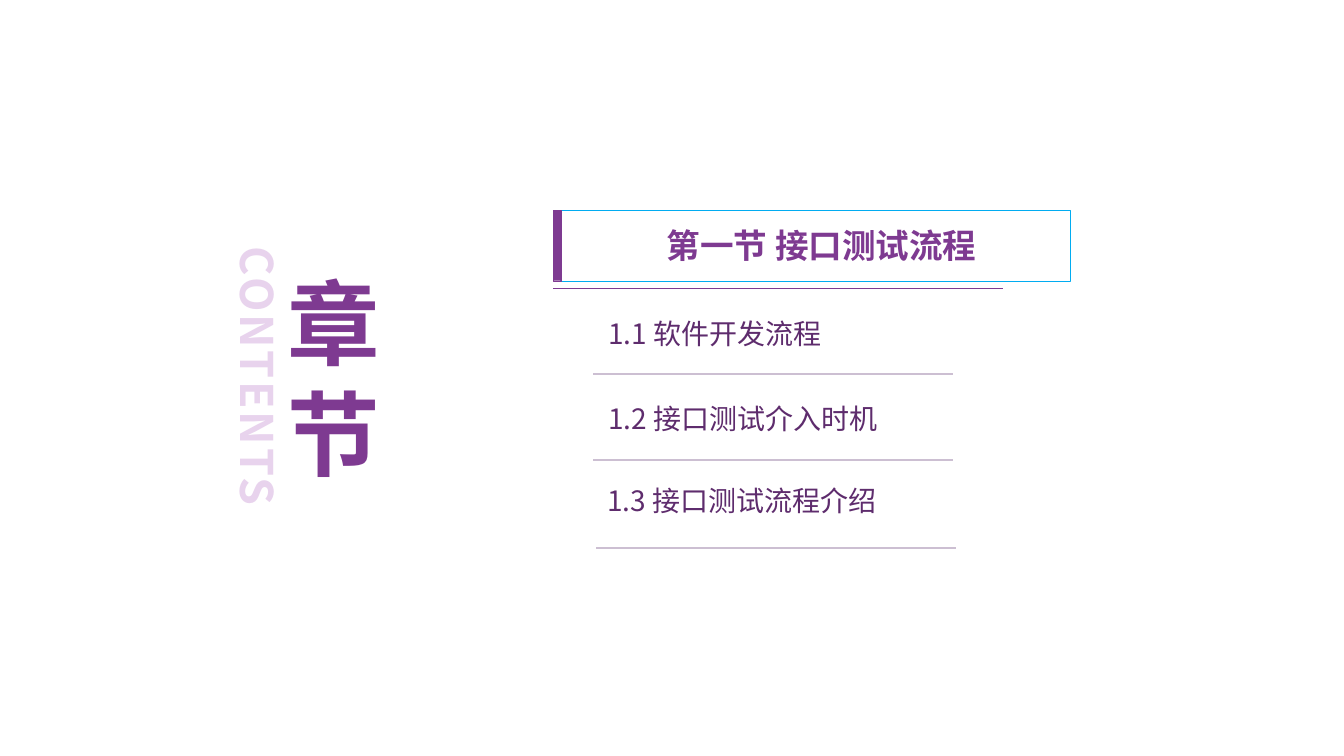
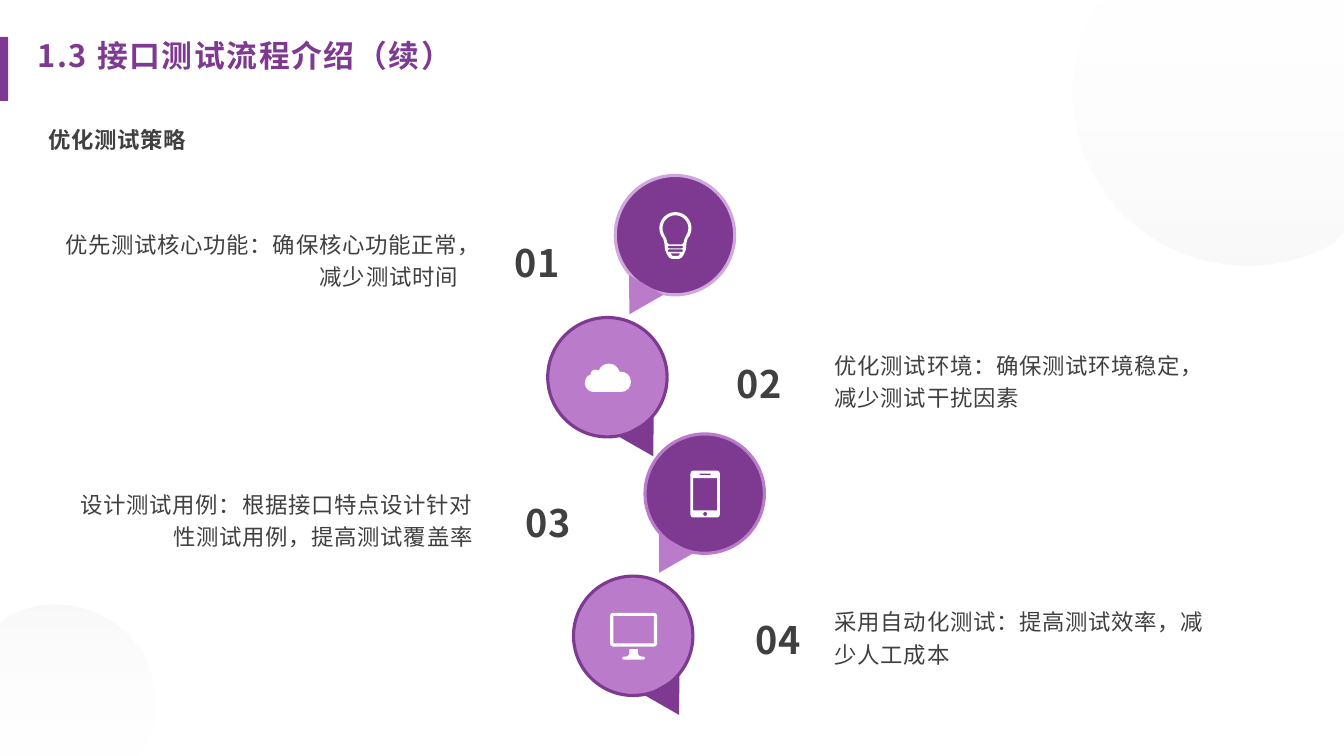
import math
from dataclasses import dataclass
from typing import NamedTuple, Optional

import lxml.etree
import pptx
import pptx.dml.color
import pptx.enum.shapes
import pptx.enum.text
import pptx.oxml.ns
import pptx.util

Pt = pptx.util.Pt
RGBColor = pptx.dml.color.RGBColor
Shape = pptx.enum.shapes.MSO_SHAPE
Anchor = pptx.enum.text.MSO_ANCHOR
Align = pptx.enum.text.PP_ALIGN
qn = pptx.oxml.ns.qn

# Shared look
FONT = "Noto Sans CJK SC"
PURPLE = RGBColor(0x7E, 0x3A, 0x91)
DEEP_PURPLE = RGBColor(0x5E, 0x2C, 0x6D)
LILAC = RGBColor(0xB9, 0x7B, 0xCA)
PALE_LILAC = RGBColor(0xD0, 0xA7, 0xDC)
FAINT_LILAC = RGBColor(0xE8, 0xD3, 0xED)
RULE_GRAY = RGBColor(0xCC, 0xBF, 0xD2)
TEXT_GRAY = RGBColor(0x40, 0x40, 0x40)
SHADE_GRAY = RGBColor(0xE6, 0xE6, 0xE6)
CYAN = RGBColor(0x01, 0xAC, 0xF1)
WHITE = RGBColor(0xFF, 0xFF, 0xFF)

PAGE_WIDTH, PAGE_HEIGHT = 1920.24, 1080
TITLE_ONLY = 5
DEFAULT_INSETS = (7.2, 3.6, 7.2, 3.6)
TOPIC_INSETS = (12.2, 12.2, 12.2, 12.2)
NO_INSETS = (0, 0, 0, 0)

Point = tuple[float, float]
Contour = list[Point]
Outline = list[Contour]


class Area(NamedTuple):
    left: float
    top: float
    width: float
    height: float


class Style(NamedTuple):
    size: float
    color: RGBColor
    bold: bool = False
    spacing: float = 0


HEADING = Style(44, PURPLE, True, 2.3)
SECTION = Style(48, PURPLE, True)
TOPIC = Style(40, DEEP_PURPLE)
NUMBER = Style(54, TEXT_GRAY, True, 0.9)
SUBHEADING = Style(32, TEXT_GRAY, True, 0.9)
DETAIL = Style(32, TEXT_GRAY, False, 0.9)


# Text
def add_span(para, text: str, style: Style) -> None:
    span = para.add_run()
    span.text = text
    span.font.size = Pt(style.size)
    span.font.bold = style.bold
    span.font.color.rgb = style.color
    span.font.name = FONT
    properties = span.font._element
    properties.set("spc", str(round(style.spacing * 100)))
    lxml.etree.SubElement(properties, qn("a:ea"), typeface=FONT)


def fill_frame(box, lines: list[str], style: Style, align, line_spacing: float,
               anchor, insets) -> None:
    frame = box.text_frame
    frame.word_wrap = True
    frame.auto_size = pptx.enum.text.MSO_AUTO_SIZE.NONE
    frame.vertical_anchor = anchor
    (frame.margin_left, frame.margin_top,
     frame.margin_right, frame.margin_bottom) = (Pt(inset) for inset in insets)
    for index, line in enumerate(lines):
        para = frame.add_paragraph() if index else frame.paragraphs[0]
        para.alignment = align
        para.line_spacing = line_spacing
        add_span(para, line, style)


def add_text(page, area: Area, lines: list[str], style: Style, align=Align.LEFT,
             line_spacing: float = 1, anchor=Anchor.MIDDLE, insets=DEFAULT_INSETS):
    box = page.shapes.add_textbox(*(Pt(length) for length in area))
    fill_frame(box, lines, style, align, line_spacing, anchor, insets)
    return box


def set_title(page, area: Area, text: str, style: Style, align=Align.LEFT,
              line_spacing: float = 1, insets=NO_INSETS):
    title = page.shapes.title
    title.left, title.top, title.width, title.height = (Pt(length) for length in area)
    fill_frame(title, [text], style, align, line_spacing, Anchor.MIDDLE, insets)
    return title


# Shapes
def paint(shape, fill: RGBColor, line: Optional[RGBColor] = None, width: float = 0) -> None:
    shape.shadow.inherit = False
    shape.fill.solid()
    shape.fill.fore_color.rgb = fill
    if line is None:
        shape.line.fill.background()
    else:
        shape.line.color.rgb = line
        shape.line.width = Pt(width)


def add_preset(page, kind, area: Area, fill: RGBColor,
               line: Optional[RGBColor] = None, width: float = 0):
    shape = page.shapes.add_shape(kind, *(Pt(length) for length in area))
    paint(shape, fill, line, width)
    return shape


def add_rule(page, left: float, right: float, y: float, color: RGBColor) -> None:
    rule = page.shapes.add_connector(
        pptx.enum.shapes.MSO_CONNECTOR.STRAIGHT, Pt(left), Pt(y), Pt(right), Pt(y))
    rule.line.color.rgb = color
    rule.line.width = Pt(2)
    lxml.etree.SubElement(rule._element.spPr, qn("a:effectLst"))


def add_outline(page, contours: Outline, center: Point = (0, 0)):
    """Draw closed contours as one shape; inner contours become holes."""
    builder = None
    for contour in contours:
        points = [(Pt(center[0] + x), Pt(center[1] + y)) for x, y in contour]
        if builder is None:
            builder = page.shapes.build_freeform(*points[0], scale=1.0)
        else:
            builder.move_to(*points[0])
        builder.add_line_segments(points[1:], close=True)
    shape = builder.convert_to_shape()
    paint(shape, WHITE)
    return shape


# Contours
def arc(x: float, y: float, rx: float, ry: float,
        start: float = 0, end: float = 360, steps: int = 8) -> Contour:
    angles = [math.radians(start + (end - start) * i / steps) for i in range(steps + 1)]
    return [(x + rx * math.cos(a), y + ry * math.sin(a)) for a in angles]


def symmetric(right_half: Contour) -> Contour:
    return right_half + [(-x, y) for x, y in reversed(right_half)]


def panel(half_width: float, top: float, bottom: float, radius: float = 0) -> Contour:
    if not radius:
        return symmetric([(half_width, top), (half_width, bottom)])
    x = half_width - radius
    return symmetric(arc(x, top + radius, radius, radius, -90, 0, 2)
                     + arc(x, bottom - radius, radius, radius, 0, 90, 2))


BULB = [
    symmetric(arc(0, -10.5, 23, 23, -90, 26)
              + [(17.3, 4.7), (15.7, 11), (15, 20), (12, 27), (9, 31.5), (4.5, 33.5)]),
    symmetric(arc(0, -10.5, 18.5, 18.5, -90, 26) + [(13, 4.7), (11.5, 10.5), (9.4, 12.5)]),
    panel(10.8, 14.8, 18.4, 1.7),
    panel(10.8, 19.8, 23.4, 1.7),
    symmetric([(7, 25.6), (4, 29.2)]),
]
CLOUD = [arc(19, 6, 14, 14.5, -97, 90) + arc(-20, 7.5, 13, 13, 90, 250)
         + arc(-18, -5, 6.5, 6.5, 170, 290, 5) + arc(1.5, -5, 15.5, 15, 200, 345)]
PHONE = [panel(21, -33.5, 33.5, 4), panel(17, -22.7, 23.4),
         panel(8, -29.2, -27), arc(0, 28.4, 3, 3)]
SCREEN = [panel(33.5, -33.5, 14.8, 4), panel(29, -29, 10.4)]
STAND = [symmetric([(6, 18.4), (6, 24.8), (8, 28), (11, 29.2), (14.5, 29.2),
                    (16.6, 31.3), (14.5, 33.5)])]


# Contents page
class Topic(NamedTuple):
    text: str
    area: Area
    line_spacing: float
    rule_left: float
    rule_y: float


TOPICS = [
    Topic("1.1 软件开发流程", Area(856.8, 416.9, 504, 117.4), 1, 847.4, 534.2),
    Topic("1.2 接口测试介入时机", Area(856.8, 538.6, 504, 117.4), 1, 847.4, 657.4),
    Topic("1.3 接口测试流程介绍", Area(855.4, 659.5, 695.5, 117.4), 0.9, 851.8, 782.6),
]
RULE_LENGTH = 513.6


def build_contents(deck) -> None:
    page = deck.slides.add_slide(deck.slide_layouts[TITLE_ONLY])

    # Side heading
    caption = add_text(page, Area(43.2, 494.6, 650.2, 85), ["CONTENTS"],
                       Style(64, FAINT_LILAC, True, 4), Align.CENTER, anchor=Anchor.TOP)
    caption.rotation = 90
    add_text(page, Area(342, 300.2, 270, 477.4), ["章", "节"],
             Style(132, PURPLE, True), Align.CENTER, insets=NO_INSETS)

    # Section title with its bar and rule
    title = set_title(page, Area(800.6, 300.2, 728.6, 100.8), "第一节 接口测试流程",
                      SECTION, Align.CENTER, insets=(28, 0, 10, 0))
    title.line.color.rgb = CYAN
    title.line.width = Pt(0.25)
    add_preset(page, Shape.RECTANGLE, Area(790.6, 300.2, 10.8, 100.8), PURPLE, PURPLE, 0.25)
    add_rule(page, 790.6, 1432.8, 412.5, PURPLE)

    # Topics, each above its own rule
    for topic in TOPICS:
        add_text(page, topic.area, [topic.text], TOPIC,
                 line_spacing=topic.line_spacing, insets=TOPIC_INSETS)
        add_rule(page, topic.rule_left, topic.rule_left + RULE_LENGTH,
                 topic.rule_y, RULE_GRAY)


# Strategy page
@dataclass(frozen=True)
class Strategy:
    number: str
    text: str
    bubble: Point
    label: Point
    text_left: float
    icon: list[Outline]
    border: RGBColor
    on_left: bool


STRATEGIES = [
    Strategy("01", "优先测试核心功能：确保核心功能正常，减少测试时间",
             (879.1, 250.6), (705.6, 313.2), 72, [BULB], PALE_LILAC, True),
    Strategy("02", "优化测试环境：确保测试环境稳定，减少测试干扰因素",
             (782.6, 453.6), (1022.4, 486), 1185.8, [CLOUD], PURPLE, False),
    Strategy("03", "设计测试用例：根据接口特点设计针对性测试用例，提高测试覆盖率",
             (921.6, 619.9), (721.4, 684.7), 93.6, [PHONE], LILAC, True),
    Strategy("04", "采用自动化测试：提高测试效率，减少人工成本",
             (819.4, 823), (1049.8, 852.5), 1185.8, [SCREEN, STAND], PURPLE, False),
]
BUBBLE = 170.6
TAIL_WIDTH, TAIL_HEIGHT = 56.2, 48.2


def add_backdrop(page, x: float, y: float, rx: float, ry: float, angle: float) -> None:
    """Draw a faint shaded disc, cut off at the page edges."""
    disc = dict.fromkeys((min(max(px, 0), PAGE_WIDTH), min(max(py, 0), PAGE_HEIGHT))
                         for px, py in arc(x, y, rx, ry, steps=48))
    shape = add_outline(page, [list(disc)])
    shape.fill.gradient()
    shape.fill.gradient_angle = angle
    for stop, color, position in zip(shape.fill.gradient_stops, (WHITE, SHADE_GRAY), (0, 1)):
        stop.color.rgb = color
        stop.position = position
    colors = shape._element.spPr.iter(qn("a:srgbClr"))
    for color, alpha in zip(colors, ("10000", "24000")):
        lxml.etree.SubElement(color, qn("a:alpha"), val=alpha)


def add_strategy(page, item: Strategy) -> None:
    # Bubble, tail and icon
    left, top = item.bubble
    fill, tail_fill = (PURPLE, LILAC) if item.on_left else (LILAC, PURPLE)
    add_preset(page, Shape.OVAL, Area(left, top, BUBBLE, BUBBLE), fill, item.border, 4.5)
    tail_left = left + (4 if item.on_left else BUBBLE - TAIL_WIDTH - 3.6)
    tail = add_preset(page, Shape.ISOSCELES_TRIANGLE,
                      Area(tail_left, top + 153.4, TAIL_WIDTH, TAIL_HEIGHT), tail_fill)
    tail.rotation = 210 if item.on_left else 150
    for outline in item.icon:
        add_outline(page, outline, (left + BUBBLE / 2 + 0.6, top + BUBBLE / 2 + 0.6))

    # Number and text, centred on the same height
    label_left, label_top = item.label
    add_text(page, Area(label_left, label_top, 124.6, 109.4), [item.number],
             NUMBER, Align.CENTER, 1.2)
    add_text(page, Area(item.text_left, label_top - 57.6, 589 if item.on_left else 555.8, 225.4),
             [item.text], DETAIL, Align.RIGHT if item.on_left else Align.LEFT, 1.2)


def build_strategies(deck) -> None:
    page = deck.slides.add_slide(deck.slide_layouts[TITLE_ONLY])
    add_backdrop(page, 1781.3, 133.2, 249.1, 245.5, 270)
    add_backdrop(page, 79.2, 1003.7, 143.3, 140.4, 90)

    # Headings
    set_title(page, Area(53.3, 29.8, 805, 91.4), "1.3 接口测试流程介绍（续）", HEADING,
              line_spacing=1.1)
    add_preset(page, Shape.RECTANGLE, Area(0, 52.6, 11.5, 91.4), PURPLE)
    add_text(page, Area(69.8, 143.6, 573.1, 112.3), ["优化测试策略"], SUBHEADING,
             insets=NO_INSETS)

    # Chain of bubbles
    for item in STRATEGIES:
        add_strategy(page, item)


def main() -> None:
    deck = pptx.Presentation()
    deck.slide_width, deck.slide_height = Pt(PAGE_WIDTH), Pt(PAGE_HEIGHT)
    build_contents(deck)
    build_strategies(deck)
    deck.save("out.pptx")


if __name__ == "__main__":
    main()
